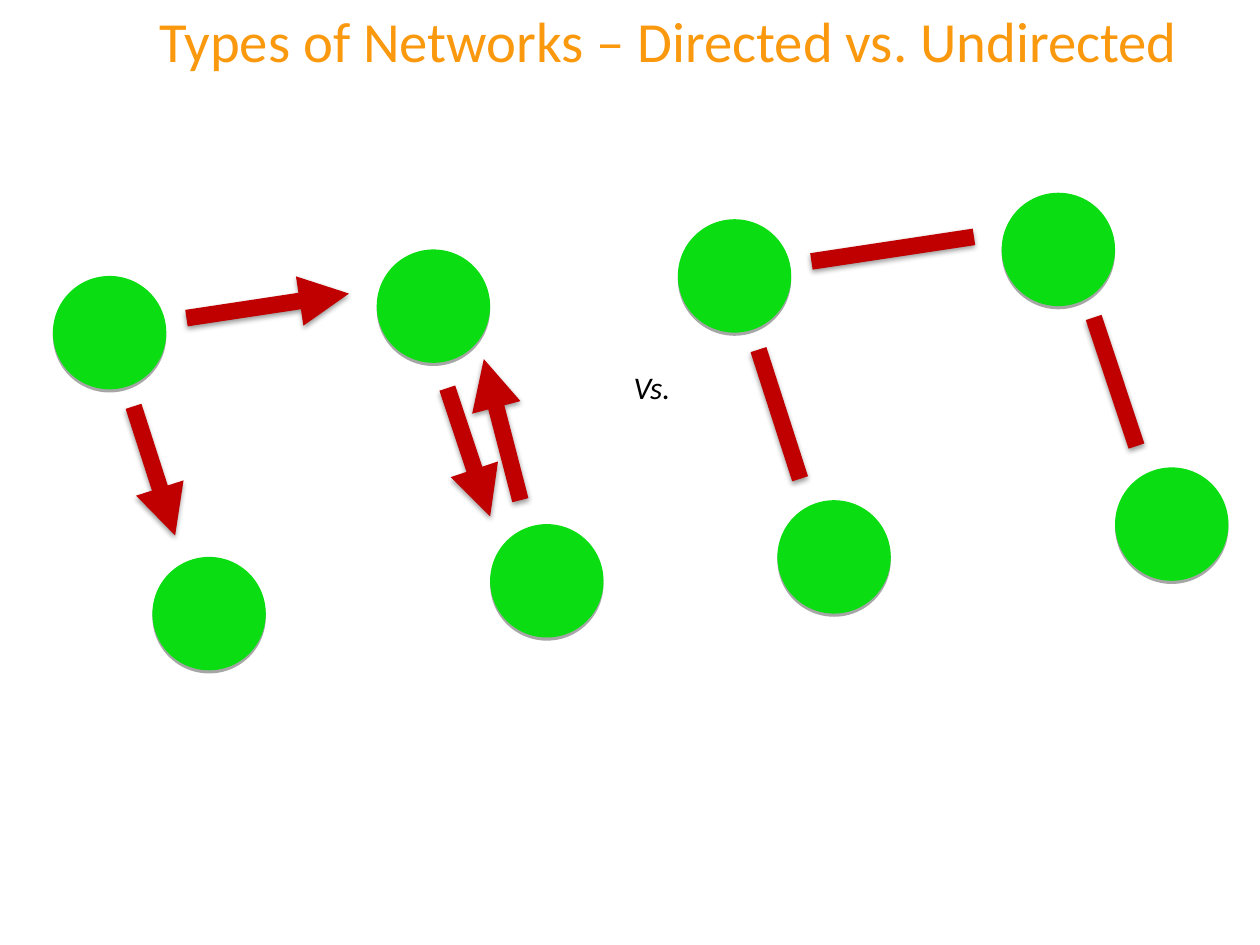
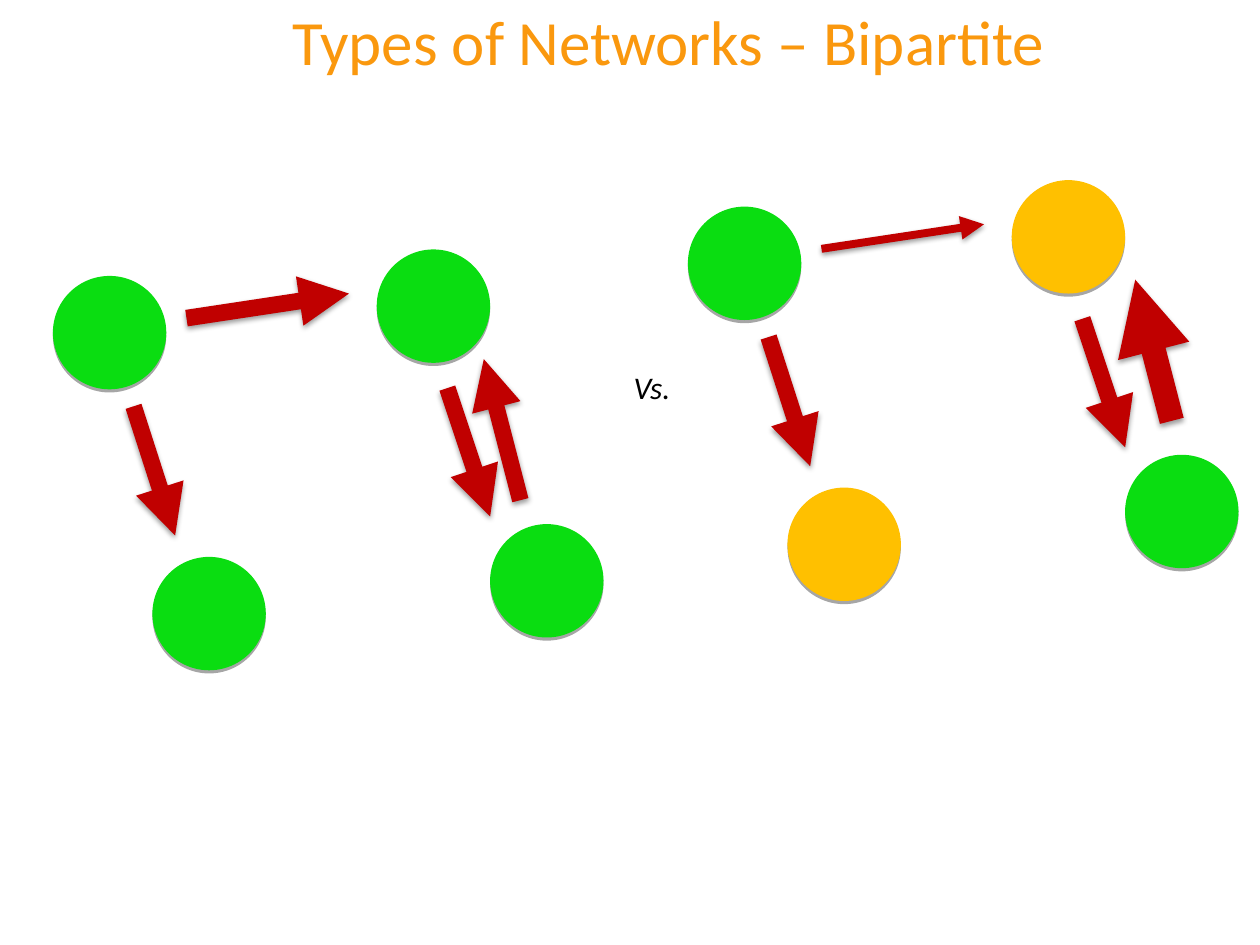
"""Build two slides that compare types of networks."""
import lxml.etree
import pptx
import pptx.dml.color
import pptx.enum.shapes
import pptx.enum.text
import pptx.oxml.ns
import pptx.util

COLUMNS, ROWS = 100, 75
GREEN, AMBER, RED, ORANGE, BLACK = "0ADD11", "FFC000", "C00000", "FA980E", "000000"
NODE_SIZE = 9
NODES = {
    "source": (0, 0),
    "hub": (25.7, -2.1),
    "partner": (34.7, 19.7),
    "leaf": (7.9, 22.3),
}
EDGES = {
    "source to hub": ((10.6, 3.35), (23.5, 1.4)),
    "hub to partner": ((31.3, 8.9), (34.7, 19.1)),
    "source to leaf": ((6.4, 10.35), (9.7, 20.6)),
    "partner to hub": ((37.1, 17.8), (34.2, 6.6)),
}
LEFT_ORIGIN = (4.2, 21.9)


def color(value):
    return pptx.dml.color.RGBColor.from_string(value)


def set_all(target, values):
    for name, value in values.items():
        setattr(target, name, value)


def moved(point, shift):
    return point[0] + shift[0], point[1] + shift[1]


class NetworkDeck:
    def __init__(self):
        self.deck = pptx.Presentation()
        self.deck.slide_width = pptx.util.Inches(10)
        self.deck.slide_height = pptx.util.Inches(7.5)
        self.page = None

    def place(self, column, row):
        return (round(self.deck.slide_width * column / COLUMNS),
                round(self.deck.slide_height * row / ROWS))

    def add_text(self, box, text, size, tint, **font):
        para = box.text_frame.paragraphs[0]
        span = para.add_run()
        span.text = text
        set_all(span.font, {"name": "Calibri", "size": pptx.util.Pt(size), **font})
        span.font.color.rgb = color(tint)
        return para

    def start_page(self, title, size):
        self.page = self.deck.slides.add_slide(self.deck.slide_layouts[0])
        subtitle = self.page.placeholders[1]._element
        subtitle.getparent().remove(subtitle)
        box = self.page.shapes.title
        left, top = self.place(7.7, -1.7)
        width, height = self.place(90.7, 9.8)
        set_all(box, {"left": left, "top": top, "width": width, "height": height})
        set_all(box.text_frame, {
            "vertical_anchor": pptx.enum.text.MSO_ANCHOR.MIDDLE,
            "auto_size": pptx.enum.text.MSO_AUTO_SIZE.NONE,
            "word_wrap": True,
        })
        para = self.add_text(box, title, size, ORANGE)
        para.alignment = pptx.enum.text.PP_ALIGN.CENTER

    def label(self, text, position, extent):
        box = self.page.shapes.add_textbox(*self.place(*position), *self.place(*extent))
        set_all(box.text_frame, {
            "word_wrap": False,
            "auto_size": pptx.enum.text.MSO_AUTO_SIZE.SHAPE_TO_FIT_TEXT,
        })
        self.add_text(box, text, 18, BLACK, italic=True)

    def add_shadow(self, shape, opacity, blur, distance):
        qn = pptx.oxml.ns.qn
        effects = lxml.etree.SubElement(shape._element.spPr, qn("a:effectLst"))
        shadow = lxml.etree.SubElement(effects, qn("a:outerShdw"), {
            "blurRad": str(pptx.util.Pt(blur)), "dist": str(pptx.util.Pt(distance)),
            "dir": "5400000", "rotWithShape": "0",
        })
        tint = lxml.etree.SubElement(shadow, qn("a:srgbClr"), val=BLACK)
        lxml.etree.SubElement(tint, qn("a:alpha"), val=str(opacity * 1000))

    def node(self, position, fill):
        circle = self.page.shapes.add_shape(
            pptx.enum.shapes.MSO_SHAPE.OVAL,
            *self.place(*position), *self.place(NODE_SIZE, NODE_SIZE))
        circle.fill.solid()
        circle.fill.fore_color.rgb = color(fill)
        circle.line.fill.background()
        self.add_shadow(circle, 35, 0, 1.8)

    def edge(self, start, end, weight, directed):
        link = self.page.shapes.add_connector(
            pptx.enum.shapes.MSO_CONNECTOR.STRAIGHT,
            *self.place(*start), *self.place(*end))
        link.line.color.rgb = color(RED)
        link.line.width = pptx.util.Pt(weight)
        if directed:
            qn = pptx.oxml.ns.qn
            outline = link._element.spPr.find(qn("a:ln"))
            lxml.etree.SubElement(outline, qn("a:tailEnd"), type="triangle")
        self.add_shadow(link, 38, 3.1, 1.6)

    def network(self, origin, directed=True, fills={}, weights={}, shifts={}):
        for name, offset in NODES.items():
            self.node(moved(origin, offset), fills.get(name, GREEN))
        for name, ends in EDGES.items():
            if not directed and name == "partner to hub":
                continue
            base = moved(origin, shifts.get(name, (0, 0)))
            start, end = (moved(base, point) for point in ends)
            self.edge(start, end, weights.get(name, 9.5), directed)

    def comparison(self, title, size, origin, **options):
        self.start_page(title, size)
        self.network(LEFT_ORIGIN)
        self.label("Vs.", (49.3, 28.7), (5.5, 4))
        self.network(origin, **options)


def main():
    show = NetworkDeck()
    show.comparison(
        "Types of Networks – Directed vs. Undirected", 32.4, (53.8, 17.4),
        directed=False, shifts={"hub to partner": (1.7, -1.1)})
    show.comparison(
        "Types of Networks – Bipartite", 36, (54.6, 16.4),
        fills={"hub": AMBER, "leaf": AMBER},
        weights={"source to hub": 4.5, "partner to hub": 14},
        shifts={"partner to hub": (1.3, -0.8)})
    show.deck.save("out.pptx")


if __name__ == "__main__":
    main()
